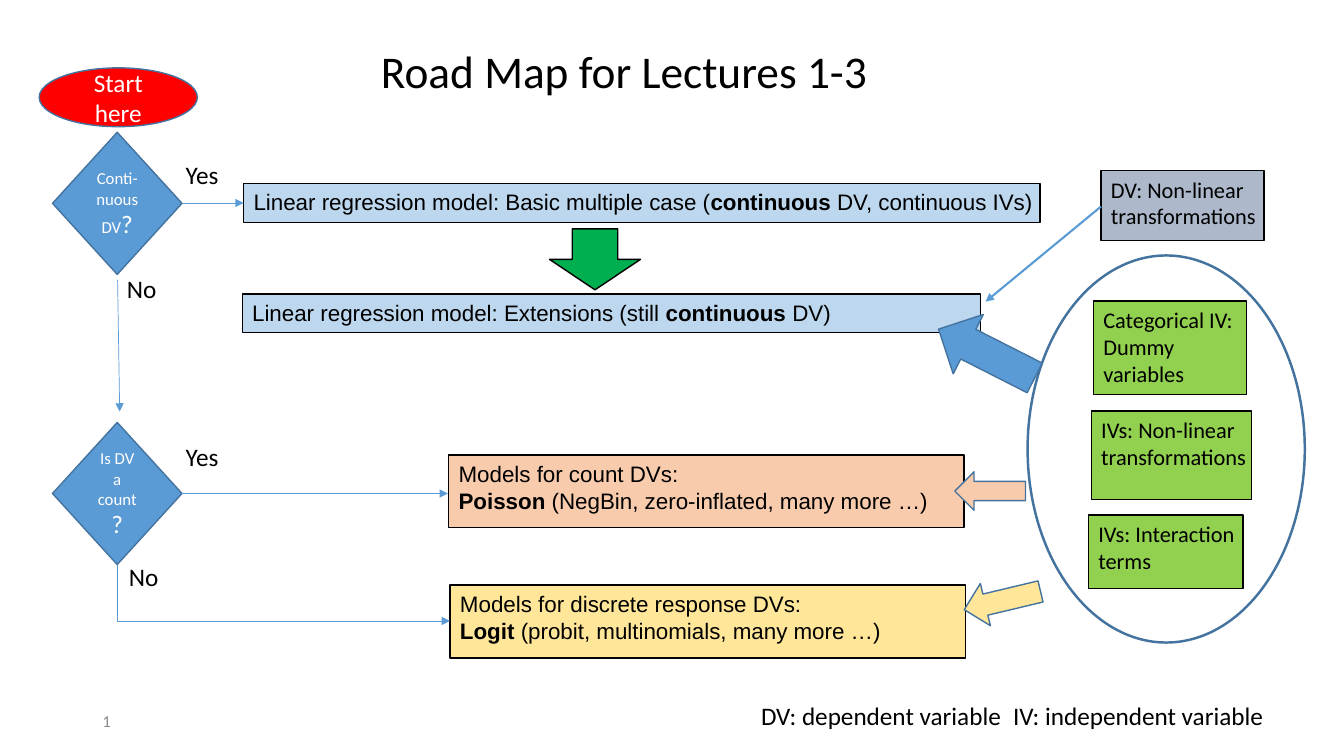
from dataclasses import dataclass
from typing import NamedTuple

from lxml.etree import SubElement
from pptx import Presentation
from pptx.dml.color import RGBColor
from pptx.enum.shapes import MSO_CONNECTOR, MSO_SHAPE
from pptx.enum.text import MSO_ANCHOR, MSO_AUTO_SIZE, PP_ALIGN
from pptx.oxml.ns import qn
from pptx.util import Pt

BLACK = RGBColor(0x00, 0x00, 0x00)
WHITE = RGBColor(0xFF, 0xFF, 0xFF)
GRAY = RGBColor(0x8C, 0x8C, 0x8C)
RED = RGBColor(0xFF, 0x00, 0x00)
GREEN = RGBColor(0x00, 0xB0, 0x50)
LIME = RGBColor(0x92, 0xD0, 0x50)
BLUE = RGBColor(0x5B, 0x9B, 0xD5)
DARK_BLUE = RGBColor(0x43, 0x73, 0x9E)
PALE_BLUE = RGBColor(0xBD, 0xD7, 0xEE)
SLATE = RGBColor(0xAD, 0xB9, 0xCA)
YELLOW = RGBColor(0xFF, 0xE6, 0x99)
PEACH = RGBColor(0xF8, 0xCB, 0xAD)


class Span(NamedTuple):
    text: str
    size: float = 16
    bold: bool = False


class Area(NamedTuple):
    left: float
    top: float
    width: float
    height: float

    def points(self):
        return [Pt(length) for length in self]


Lines = list[list[Span]]


@dataclass
class Node:
    kind: MSO_SHAPE
    area: Area
    fill: RGBColor | None
    outline: RGBColor = DARK_BLUE
    weight: float = 1
    rotation: float = 0
    lines: Lines | None = None
    font: str = "Calibri"


@dataclass
class Label:
    area: Area
    text: str
    size: float = 18
    color: RGBColor = BLACK
    wrap: bool = False
    anchor: MSO_ANCHOR = MSO_ANCHOR.TOP


@dataclass
class Arrow:
    start: tuple[float, float]
    end: tuple[float, float]
    weight: float = 0.5


def write(frame, lines: Lines, font: str, color: RGBColor, align: PP_ALIGN) -> None:
    for index, spans in enumerate(lines):
        paragraph = frame.add_paragraph() if index else frame.paragraphs[0]
        paragraph.alignment = align
        for span in spans:
            run = paragraph.add_run()
            run.text = span.text
            run.font.name = font
            run.font.size = Pt(span.size)
            run.font.bold = span.bold
            run.font.color.rgb = color


def draw_node(slide, node: Node) -> None:
    shape = slide.shapes.add_shape(node.kind, *node.area.points())
    shape.shadow.inherit = False
    shape.rotation = node.rotation
    if node.fill is None:
        shape.fill.background()
    else:
        shape.fill.solid()
        shape.fill.fore_color.rgb = node.fill
    shape.line.color.rgb = node.outline
    shape.line.width = Pt(node.weight)
    if node.lines:
        boxed = node.kind == MSO_SHAPE.RECTANGLE
        frame = shape.text_frame
        frame.word_wrap = not boxed
        frame.vertical_anchor = MSO_ANCHOR.TOP if boxed else MSO_ANCHOR.MIDDLE
        write(frame, node.lines, node.font, BLACK if boxed else WHITE,
              PP_ALIGN.LEFT if boxed else PP_ALIGN.CENTER)


def draw_label(slide, label: Label) -> None:
    frame = slide.shapes.add_textbox(*label.area.points()).text_frame
    frame.word_wrap = label.wrap
    frame.vertical_anchor = label.anchor
    if label.anchor == MSO_ANCHOR.TOP:
        frame.auto_size = MSO_AUTO_SIZE.SHAPE_TO_FIT_TEXT
    write(frame, [[Span(label.text, label.size)]], "Calibri", label.color, PP_ALIGN.LEFT)


def draw_arrow(slide, arrow: Arrow, kind: MSO_CONNECTOR = MSO_CONNECTOR.STRAIGHT):
    connector = slide.shapes.add_connector(
        kind, *[Pt(length) for length in (*arrow.start, *arrow.end)])
    connector.line.color.rgb = BLUE
    connector.line.width = Pt(arrow.weight)
    properties = connector._element.spPr
    SubElement(properties.find(qn("a:ln")), qn("a:tailEnd")).set("type", "triangle")
    SubElement(properties, qn("a:effectLst"))
    return connector


def draw_corner_arrow(slide, arrow: Arrow) -> None:
    (x1, y1), (x2, y2) = arrow.start, arrow.end
    center_x, center_y = (x1 + x2) / 2, (y1 + y2) / 2
    half_width, half_height = (y2 - y1) / 2, (x2 - x1) / 2
    turned = Arrow((center_x + half_width, center_y - half_height),
                   (center_x - half_width, center_y + half_height), arrow.weight)
    properties = draw_arrow(slide, turned, MSO_CONNECTOR.ELBOW)._element.spPr
    properties.find(qn("a:xfrm")).set("rot", str(270 * 60000))
    properties.find(qn("a:prstGeom")).set("prst", "bentConnector2")


def model(area: Area, fill: RGBColor, lines: Lines) -> Node:
    return Node(MSO_SHAPE.RECTANGLE, area, fill, BLACK, lines=lines, font="Arial")


def variable(area: Area, fill: RGBColor, *lines: str) -> Node:
    return Node(MSO_SHAPE.RECTANGLE, area, fill, BLACK,
                lines=[[Span(line)] for line in lines])


def decision(top: float, question: str) -> Node:
    return Node(MSO_SHAPE.DIAMOND, Area(37.5, top, 92.5, 101.5), BLUE,
                lines=[[Span(question, 12), Span("?", 18)]])


def block_arrow(area: Area, fill: RGBColor, rotation: float = 0,
                outline: RGBColor = DARK_BLUE) -> Node:
    return Node(MSO_SHAPE.DOWN_ARROW, area, fill, outline, rotation=rotation)


NODES = [
    model(Area(174, 131, 569, 28), PALE_BLUE,
          [[Span("Linear regression model: Basic multiple case ("),
            Span("continuous", bold=True), Span(" DV, continuous IVs)")]]),
    model(Area(173, 210, 527.5, 27.5), PALE_BLUE,
          [[Span("Linear regression model: Extensions (still "),
            Span("continuous ", bold=True), Span("DV)")]]),
    model(Area(320.5, 325, 368, 52), PEACH,
          [[Span("Models for count DVs:")],
           [Span("Poisson ", bold=True), Span("(NegBin, zero-inflated, many more …)")]]),
    model(Area(321.5, 418, 368, 52), YELLOW,
          [[Span("Models for discrete response DVs:")],
           [Span("Logit ", bold=True), Span("(probit, multinomials, many more …)")]]),
    variable(Area(786.5, 122, 116.5, 50), SLATE, "DV: Non-linear", "transformations"),
    variable(Area(781, 215, 109.5, 67), LIME, "Categorical IV:", "Dummy", "variables"),
    variable(Area(779.5, 293.5, 114.5, 63.5), LIME, "IVs: Non-linear", "transformations"),
    variable(Area(777.5, 368, 110.5, 52.5), LIME, "IVs: Interaction", "terms"),
    Node(MSO_SHAPE.OVAL, Area(734, 182.5, 198, 276.5), None, weight=1.75),
    Node(MSO_SHAPE.OVAL, Area(28, 48.5, 113, 42), RED, lines=[[Span("Start here", 18)]]),
    decision(94.5, "Conti-nuous DV"),
    decision(301.75, "Is DV a count"),
    block_arrow(Area(392.5, 163.5, 65, 43.5), GREEN, outline=BLACK),
    block_arrow(Area(681, 214, 47.5, 77), BLUE, 116.9),
    block_arrow(Area(693.5, 325.5, 27.5, 50.5), PEACH, 90),
    block_arrow(Area(700.5, 401, 31, 56), YELLOW, 76.6),
]
ARROWS = [
    Arrow((130, 145), (174, 145)),
    Arrow((84, 200), (85.5, 294)),
    Arrow((130, 352.5), (320, 352.5)),
    Arrow((786.5, 147.5), (704, 215.5), 1.5),
]
LABELS = [
    Label(Area(265, 30, 365, 40), "Road Map for Lectures 1-3", 32.4,
          anchor=MSO_ANCHOR.MIDDLE),
    Label(Area(125.5, 110.5, 48, 29), "Yes", wrap=True),
    Label(Area(125.5, 312, 48, 29), "Yes", wrap=True),
    Label(Area(83.5, 191.5, 36, 29), "No"),
    Label(Area(85, 397.5, 36, 29), "No"),
    Label(Area(536.5, 497, 414, 29), "DV: dependent variable \tIV: independent variable"),
    Label(Area(66, 500.5, 216, 29), "1", 12, GRAY, True, MSO_ANCHOR.MIDDLE),
]

presentation = Presentation()
presentation.slide_width = Pt(960)
presentation.slide_height = Pt(540)
road_map = presentation.slides.add_slide(presentation.slide_layouts[6])
for node in NODES:
    draw_node(road_map, node)
for arrow in ARROWS:
    draw_arrow(road_map, arrow)
draw_corner_arrow(road_map, Arrow((83.5, 403.5), (321.5, 443.5)))
for label in LABELS:
    draw_label(road_map, label)
presentation.save("out.pptx")
